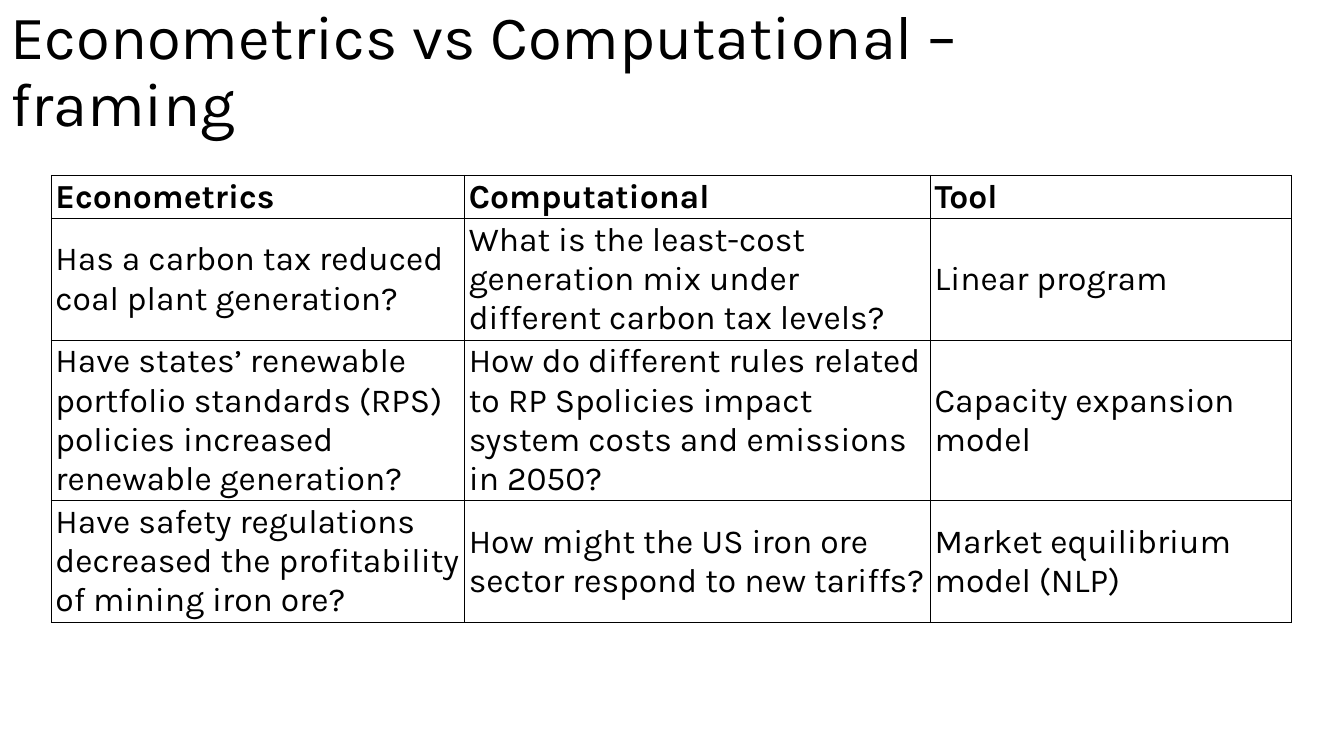
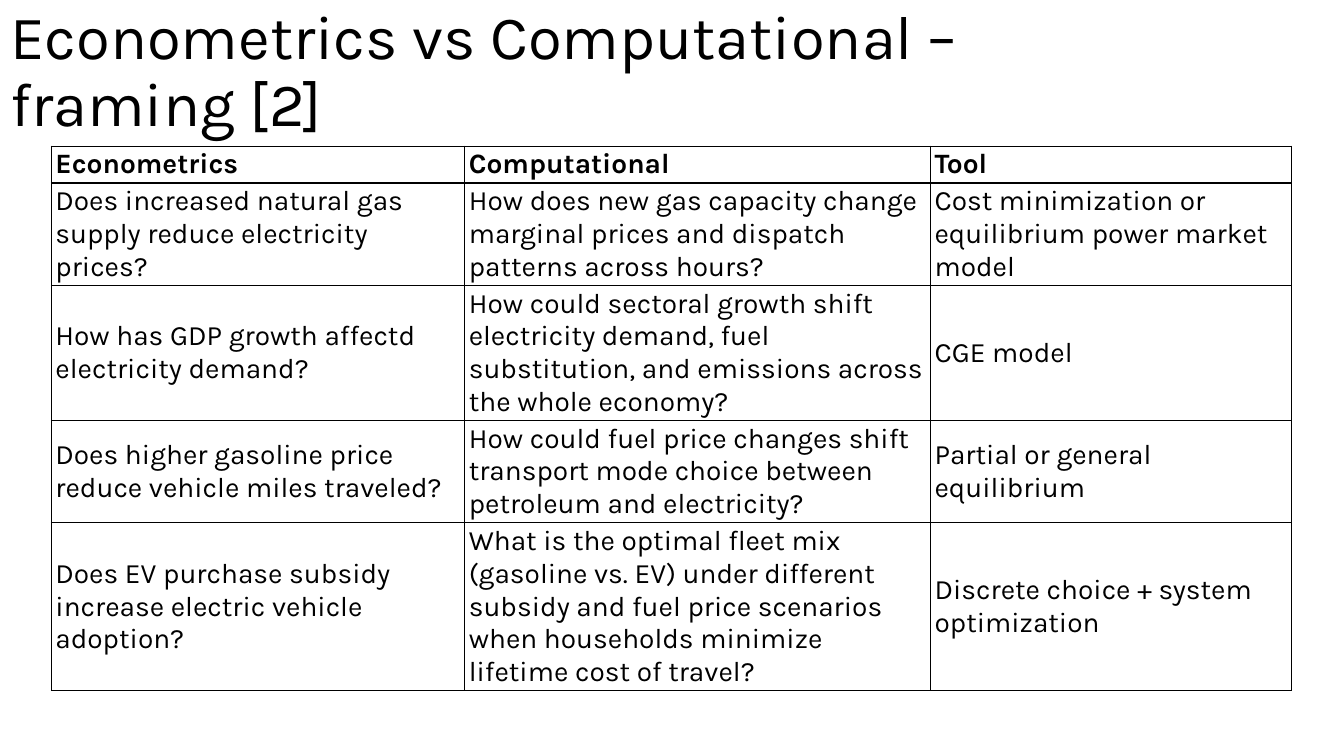
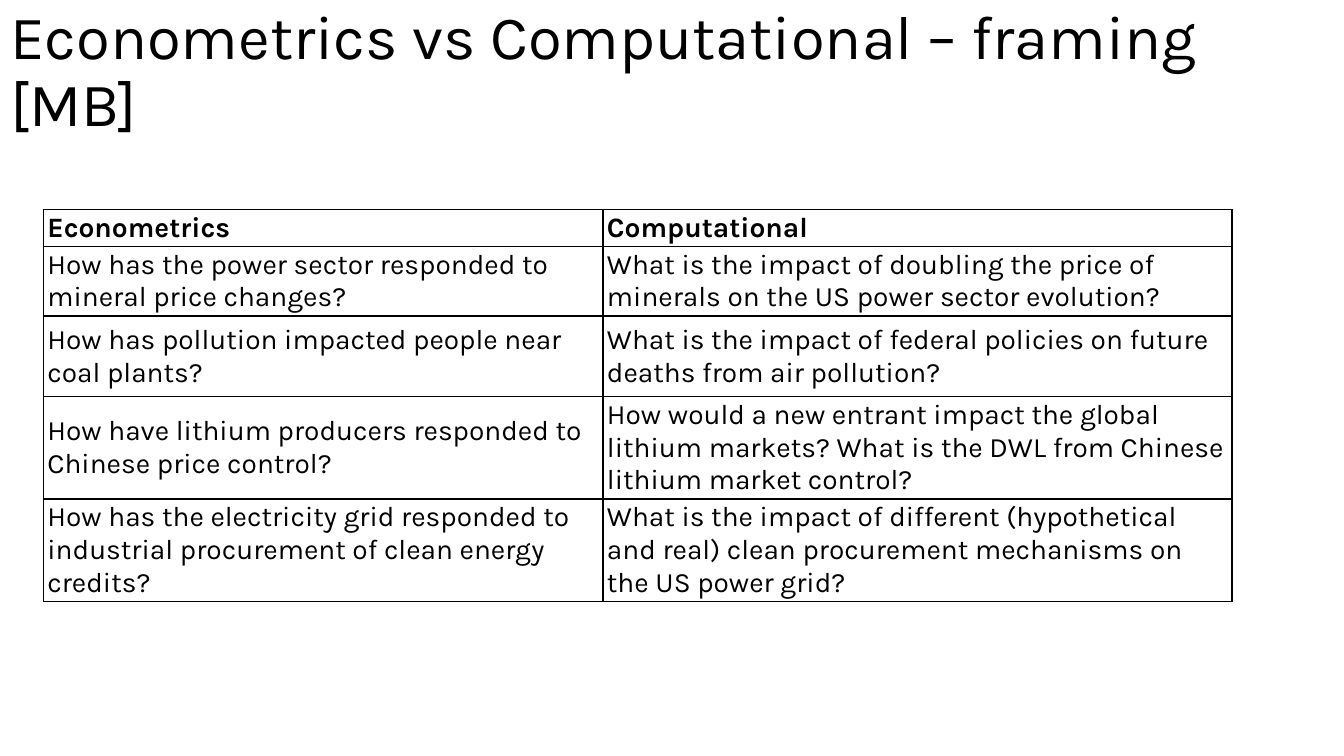
"""Build three slides that compare econometric and computational framing."""
from dataclasses import dataclass

from lxml import etree
from pptx import Presentation
from pptx import util as u
from pptx.dml.color import RGBColor
from pptx.enum import text
from pptx.oxml import ns

PX = 9144
INK = RGBColor(0x00, 0x00, 0x00)
PAPER = RGBColor(0xFF, 0xFF, 0xFF)
FONT = "Karla"
TITLE = "Econometrics vs Computational – framing"
HEADS = ("Econometrics", "Computational", "Tool")


@dataclass(frozen=True)
class Page:
    title: str
    span: int
    left: int
    top: int
    tall: int
    size: int
    cols: tuple[int, ...]
    rows: tuple[int, ...]
    body: tuple[tuple[str, ...], ...]


PAGES = (
    Page(TITLE, 1150, 51, 174, 457, 24, (410, 462, 358), (29, 55, 55, 55), (
        ("Has a carbon tax reduced coal plant generation?",
         "What is the least-cost generation mix under different carbon tax levels?",
         "Linear program"),
        ("Have states’ renewable portfolio standards (RPS) policies increased "
         "renewable generation?",
         "How do different rules related to RP Spolicies impact system costs "
         "and emissions in 2050?",
         "Capacity expansion model"),
        ("Have safety regulations decreased the profitability of mining iron ore?",
         "How might the US iron ore sector respond to new tariffs?",
         "Market equilibrium model (NLP)"),
    )),
    Page(TITLE + " [2]", 1150, 51, 145, 554, 20, (410, 462, 358), (29, 67, 80, 67, 67), (
        ("Does increased natural gas supply reduce electricity prices?",
         "How does new gas capacity change marginal prices and dispatch "
         "patterns across hours?",
         "Cost minimization or equilibrium power market model"),
        ("How has GDP growth affectd electricity demand?",
         "How could sectoral growth shift electricity demand, fuel "
         "substitution, and emissions across the whole economy?",
         "CGE model"),
        ("Does higher gasoline price reduce vehicle miles traveled?",
         "How could fuel price changes shift transport mode choice between "
         "petroleum and electricity?",
         "Partial or general equilibrium"),
        ("Does EV purchase subsidy increase electric vehicle adoption?",
         "What is the optimal fleet mix (gasoline vs. EV) under different "
         "subsidy and fuel price scenarios when households minimize lifetime "
         "cost of travel?",
         "Discrete choice + system optimization"),
    )),
    Page(TITLE + " [MB]", 1266, 43, 208, 397, 20, (555, 624), (29, 67, 80, 67, 67), (
        ("How has the power sector responded to mineral price changes?",
         "What is the impact of doubling the price of minerals on the US "
         "power sector evolution?"),
        ("How has pollution impacted people near coal plants?",
         "What is the impact of federal policies on future deaths from air "
         "pollution?"),
        ("How have lithium producers responded to Chinese price control?",
         "How would a new entrant impact the global lithium markets? What is "
         "the DWL from Chinese lithium market control?"),
        ("How has the electricity grid responded to industrial procurement "
         "of clean energy credits?",
         "What is the impact of different (hypothetical and real) clean "
         "procurement mechanisms on the US power grid?"),
    )),
)


def style(para, size: int, bold: bool = False) -> None:
    """Set the shared face and colour on a paragraph."""
    para.alignment = text.PP_ALIGN.LEFT
    para.font.name = FONT
    para.font.size = u.Pt(size)
    para.font.bold = bold
    para.font.color.rgb = INK


def border(cell) -> None:
    """Draw a thin line on each side of a cell."""
    props = cell._tc.get_or_add_tcPr()
    for side in ("lnL", "lnR", "lnT", "lnB"):
        line = etree.SubElement(props, ns.qn(f"a:{side}"), w=str(u.Pt(1)))
        fill = etree.SubElement(line, ns.qn("a:solidFill"))
        etree.SubElement(fill, ns.qn("a:srgbClr"), val=str(INK))


def write(cell, words: str, size: int, bold: bool) -> None:
    """Fill one cell with text, insets and borders."""
    cell.text = words
    style(cell.text_frame.paragraphs[0], size, bold)
    cell.vertical_anchor = text.MSO_ANCHOR.MIDDLE
    cell.margin_left = cell.margin_right = 4 * PX
    cell.margin_top = cell.margin_bottom = 2 * PX
    border(cell)
    cell.fill.background()


def head(slide, page: Page) -> None:
    """Place and format the slide title."""
    box = slide.shapes.title
    box.left, box.top, box.width, box.height = 0, 0, page.span * PX, 145 * PX
    frame = box.text_frame
    frame.text = page.title
    frame.word_wrap = True
    frame.auto_size = text.MSO_AUTO_SIZE.NONE
    frame.vertical_anchor = text.MSO_ANCHOR.MIDDLE
    para = frame.paragraphs[0]
    para.line_spacing = 0.9
    style(para, 44)


def grid(slide, page: Page) -> None:
    """Draw the table of questions."""
    frame = slide.shapes.add_table(
        len(page.rows), len(page.cols), page.left * PX, page.top * PX,
        sum(page.cols) * PX, page.tall * PX)
    table = frame.table
    table.first_row = table.horz_banding = False
    for col, wide in zip(table.columns, page.cols):
        col.width = wide * PX
    for row, tall in zip(table.rows, page.rows):
        row.height = tall * PX
    frame.height = page.tall * PX
    for r, line in enumerate((HEADS[:len(page.cols)], *page.body)):
        for c, words in enumerate(line):
            write(table.cell(r, c), words, page.size, r == 0)


def main() -> None:
    """Build and save the deck."""
    deck = Presentation()
    deck.slide_width, deck.slide_height = 1333 * PX, 750 * PX
    back = deck.slide_master.background.fill
    back.solid()
    back.fore_color.rgb = PAPER
    for page in PAGES:
        slide = deck.slides.add_slide(deck.slide_layouts[5])
        head(slide, page)
        grid(slide, page)
    deck.save("out.pptx")


if __name__ == "__main__":
    main()
